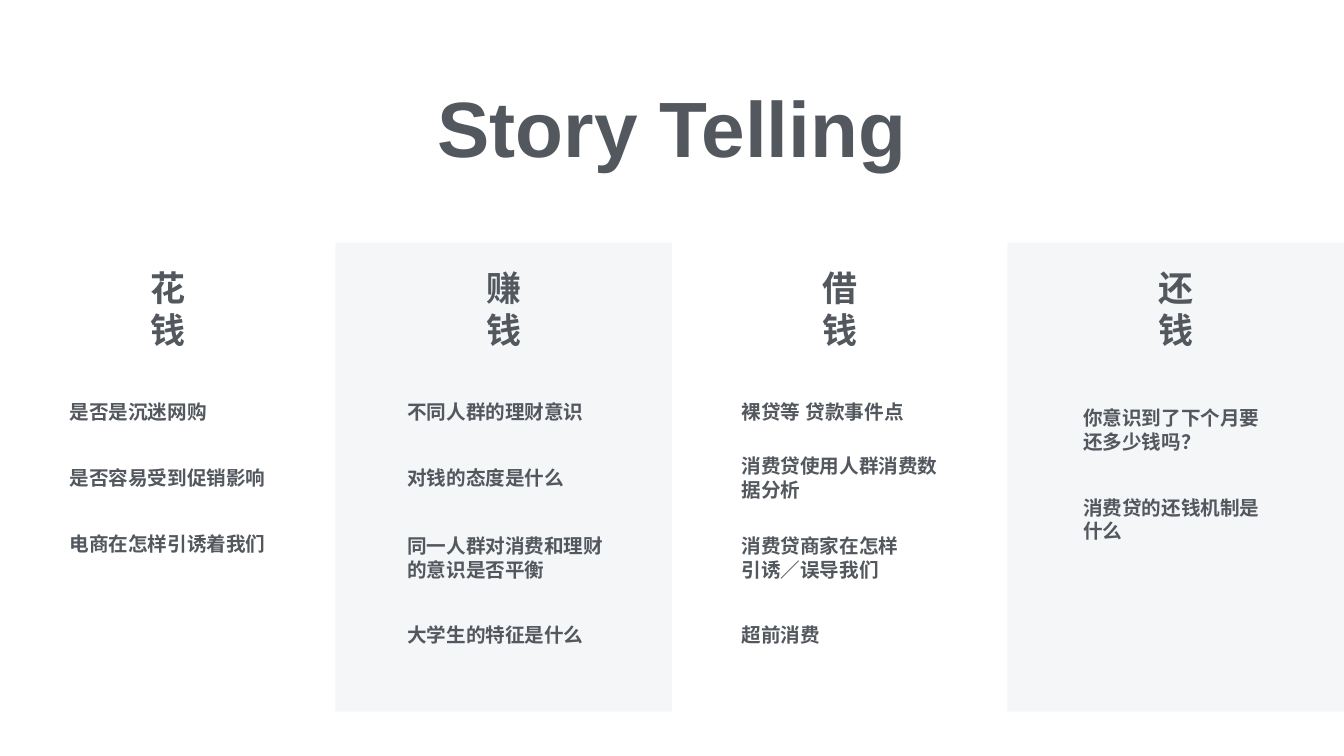
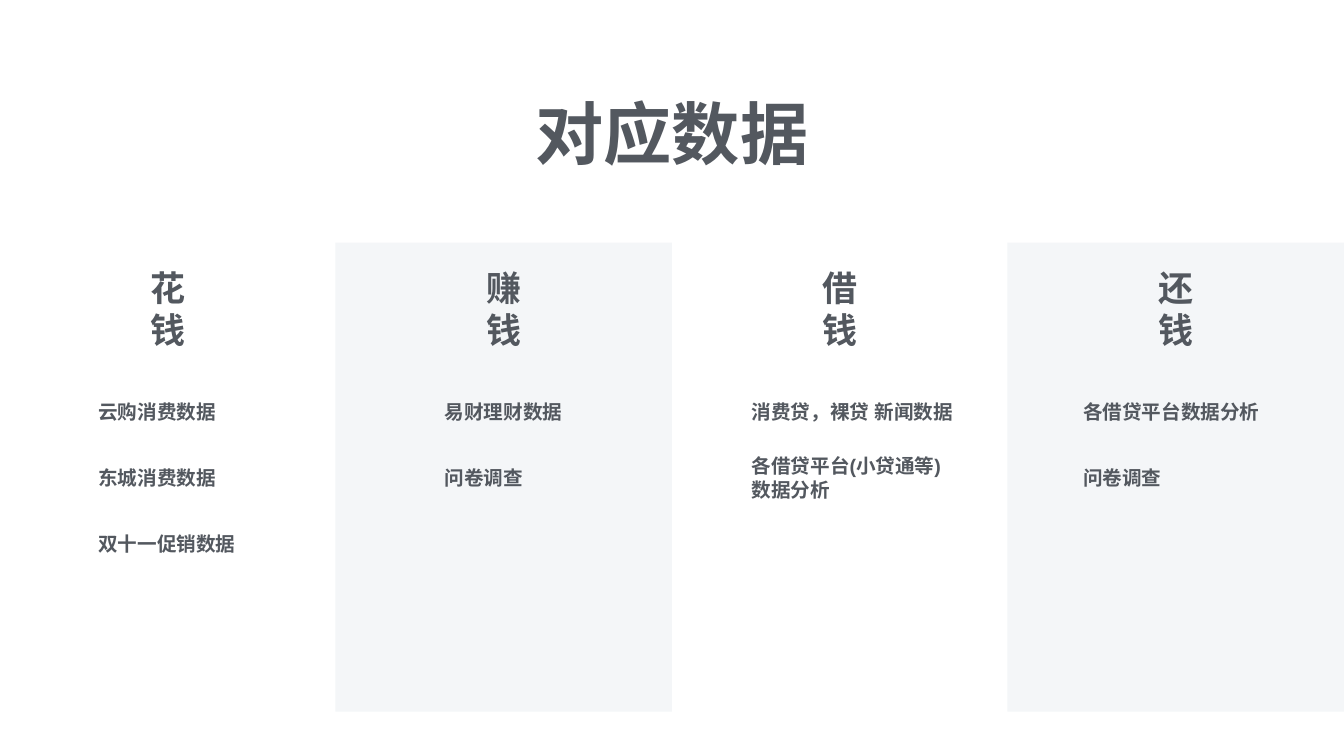
from dataclasses import dataclass

from lxml import etree
from pptx import Presentation
from pptx.dml.color import RGBColor
from pptx.enum import shapes, text as txt
from pptx.oxml import ns
from pptx.util import Pt


@dataclass(frozen=True)
class Theme:
    font: str = "Arial"
    ink: str = "53585F"
    white: str = "FFFFFF"
    tint: str = "F4F6F8"
    heading: float = 50
    item: float = 28
    inset: float = 6


THEME = Theme()

# Content: each item is (top, text) or (top, text, wrapping width)
HEADINGS = ["花钱", "赚钱", "借钱", "还钱"]
ROW1, ROW2, ROW3, ROW4 = 561.5, 656, 751, 880
ROW2_TALL = 636.5
SLIDES = [
    {"title": "Story Telling", "title_size": 112, "columns": [
        (93.5, [(ROW1, "是否是沉迷网购"),
                (ROW2, "是否容易受到促销影响"),
                (ROW3, "电商在怎样引诱着我们")]),
        (576, [(ROW1, "不同人群的理财意识"),
               (ROW2, "对钱的态度是什么"),
               (ROW3, "同一人群对消费和理财\n的意识是否平衡"),
               (ROW4, "大学生的特征是什么")]),
        (1053.5, [(ROW1, "裸贷等 贷款事件点"),
                  (ROW2_TALL, "消费贷使用人群消费数\n据分析"),
                  (ROW3, "消费贷商家在怎样\n引诱／误导我们"),
                  (ROW4, "超前消费")]),
        (1541.5, [(567.5, "你意识到了下个月要还多少钱吗？", 284),
                  (695.5, "消费贷的还钱机制是什么", 284)]),
    ]},
    {"title": "对应数据", "title_size": 97.4, "columns": [
        (134.5, [(ROW1, "云购消费数据"),
                 (ROW2, "东城消费数据"),
                 (ROW3, "双十一促销数据")]),
        (629.5, [(ROW1, "易财理财数据"),
                 (ROW2, "问卷调查")]),
        (1068, [(ROW1, "消费贷，裸贷 新闻数据"),
                (ROW2_TALL, "各借贷平台(小贷通等)数据分析", 300)]),
        (1541.5, [(562.5, "各借贷平台数据分析", 284),
                  (ROW2, "问卷调查")]),
    ]},
]

# Layout
SLIDE_W, SLIDE_H = 1920, 1080
COLUMN_W = SLIDE_W / len(HEADINGS)
BAND_TOP, BAND_H = 346.5, 670
TITLE_BOX = (381, 106, 1158, 147)
HEADING_TOP, HEADING_W, HEADING_H = 399.5, 112, 81.5
LINE_H = 40


def write(frame, words, *, size, align=txt.PP_ALIGN.LEFT,
          anchor=txt.MSO_ANCHOR.MIDDLE, wrap=False,
          fit=txt.MSO_AUTO_SIZE.SHAPE_TO_FIT_TEXT):
    """Fill a text frame, one paragraph per line of words."""
    frame.text = words
    frame.word_wrap, frame.auto_size = wrap, fit
    frame.vertical_anchor = anchor
    frame.margin_left = frame.margin_right = Pt(THEME.inset)
    frame.margin_top = frame.margin_bottom = Pt(THEME.inset)
    for paragraph in frame.paragraphs:
        paragraph.alignment = align
        for run in paragraph.runs:
            font = run.font
            font.size, font.bold, font.name = Pt(size), True, THEME.font
            font.color.rgb = RGBColor.from_string(THEME.ink)
            etree.SubElement(run._r.get_or_add_rPr(), ns.qn("a:ea"),
                             typeface=THEME.font)


def text_box(slide, box, words, **style):
    frame = slide.shapes.add_textbox(*map(Pt, box)).text_frame
    write(frame, words, **style)


def add_band(slide, column, color):
    band = slide.shapes.add_shape(
        shapes.MSO_SHAPE.RECTANGLE, Pt(column * COLUMN_W - 1), Pt(BAND_TOP),
        Pt(COLUMN_W + 1), Pt(BAND_H))
    band.shadow.inherit = False
    band.fill.solid()
    band.fill.fore_color.rgb = RGBColor.from_string(color)
    band.line.fill.background()


def add_title(slide, words, size):
    title = slide.shapes.title
    title.left, title.top, title.width, title.height = map(Pt, TITLE_BOX)
    write(title.text_frame, words, size=size, align=txt.PP_ALIGN.CENTER,
          anchor=txt.MSO_ANCHOR.BOTTOM, wrap=True, fit=txt.MSO_AUTO_SIZE.NONE)


def add_item(slide, left, top, words, wrap_width=None):
    """Size the box by its characters, or by its wrapping width."""
    lines = words.split("\n")
    width = wrap_width or 2 * THEME.inset + max(
        sum(8 if char == " " else THEME.item for char in line) for line in lines)
    count = len(lines)
    if wrap_width and len(words) * THEME.item > wrap_width:
        count = 2
    text_box(slide, (left, top, width, count * LINE_H + 2 * THEME.inset), words,
             size=THEME.item, wrap=bool(wrap_width))


def build_slide(prs, content):
    slide = prs.slides.add_slide(prs.slide_layouts[0])
    subtitle = slide.placeholders[1].element
    subtitle.getparent().remove(subtitle)
    slide.background.fill.solid()
    slide.background.fill.fore_color.rgb = RGBColor.from_string(THEME.white)

    # Bands, title and column headings
    for column, color in ((0, THEME.white), (3, THEME.tint), (1, THEME.tint)):
        add_band(slide, column, color)
    add_title(slide, content["title"], content["title_size"])
    for column, heading in enumerate(HEADINGS):
        left = (column + 0.5) * COLUMN_W - HEADING_W / 2
        text_box(slide, (left, HEADING_TOP, HEADING_W, HEADING_H), heading,
                 size=THEME.heading, align=txt.PP_ALIGN.CENTER)

    # Items under each heading
    for left, items in content["columns"]:
        for item in items:
            add_item(slide, left, *item)


def main():
    prs = Presentation()
    prs.slide_width, prs.slide_height = Pt(SLIDE_W), Pt(SLIDE_H)
    for content in SLIDES:
        build_slide(prs, content)
    prs.save("out.pptx")


if __name__ == "__main__":
    main()
